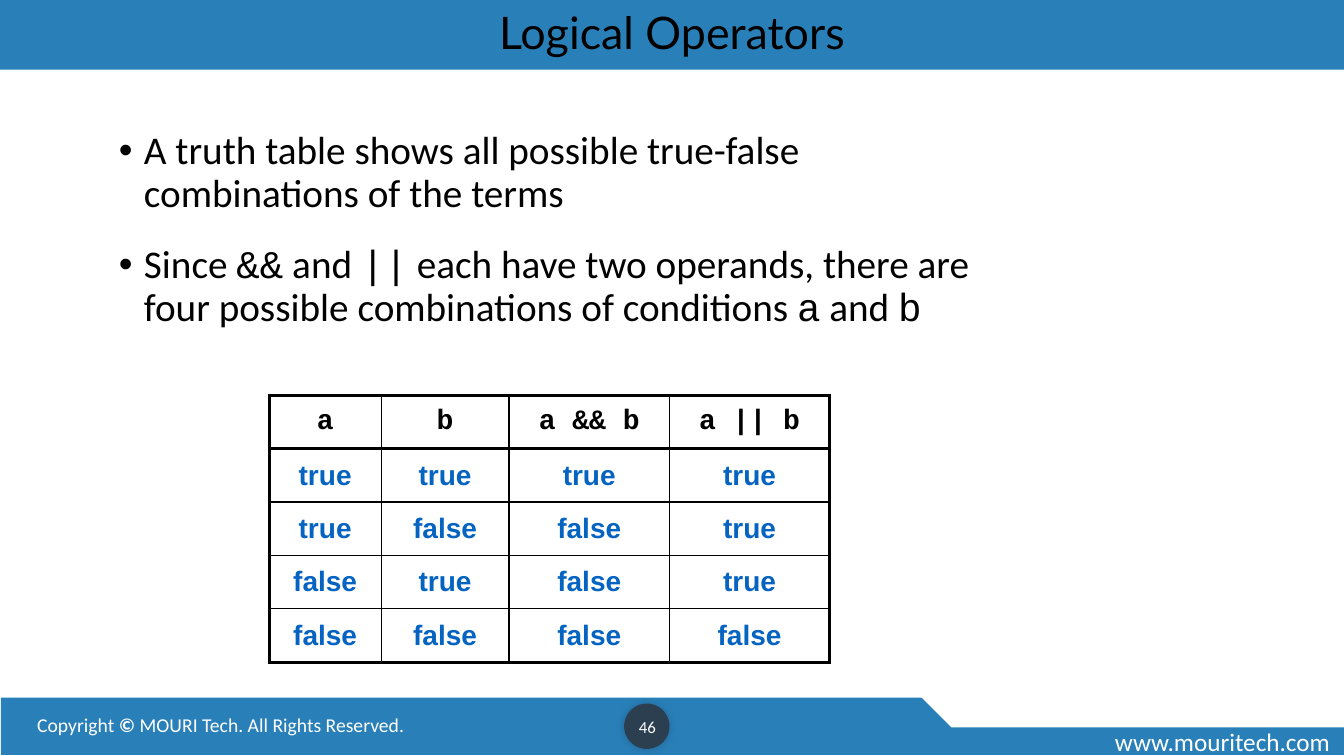
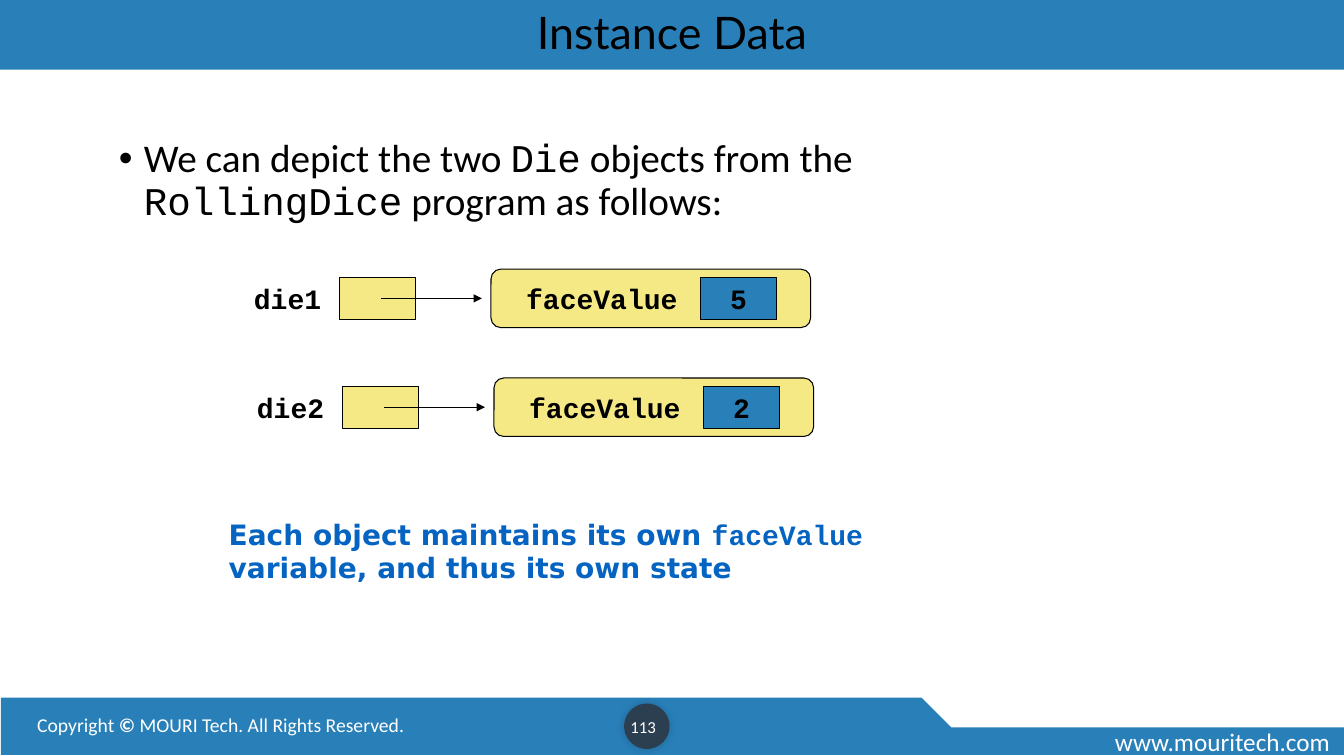
from pptx import Presentation
from pptx.dml.color import RGBColor
from pptx.enum.shapes import MSO_CONNECTOR, MSO_SHAPE
from pptx.enum.text import MSO_ANCHOR, MSO_AUTO_SIZE, PP_ALIGN
from pptx.oxml.ns import qn
from pptx.util import Inches, Pt
from lxml import etree

RECT, ROUND = MSO_SHAPE.RECTANGLE, MSO_SHAPE.ROUNDED_RECTANGLE
SNIP, OVAL = MSO_SHAPE.SNIP_2_DIAG_RECTANGLE, MSO_SHAPE.OVAL
LINE = MSO_CONNECTOR.STRAIGHT
CENTER, LEFT = PP_ALIGN.CENTER, PP_ALIGN.LEFT
MIDDLE, TOP = MSO_ANCHOR.MIDDLE, MSO_ANCHOR.TOP
FIXED = MSO_AUTO_SIZE.NONE

BLUE, WHITE, BLACK, NAVY = "2980B9", "FFFFFF", "000000", "2C3F50"
LINK, CREAM = "0563C1", "F5E985"
MONO = "Courier New"

TITLE = dict(name="Lato", size=Pt(32), color=BLACK)
BODY = dict(name="Calibri", size=Pt(28), color=BLACK)
CODE = dict(BODY, name=MONO)
SITE = dict(name="Calibri", size=Pt(18), color=WHITE)
RIGHTS = dict(SITE, size=Pt(14))
BOLD = dict(RIGHTS, bold=True)
PAGE = dict(SITE, size=Pt(12))
HEAD = dict(name=MONO, size=Pt(20), color=BLACK, bold=True)
VALUE = dict(HEAD, name="Arial", color=LINK)
NOTE = dict(VALUE, name="DejaVu Sans")
FIELD = dict(VALUE, name=MONO)

LOGIC = dict(
    title="Logical Operators",
    page=("46", 6.21, 0.42),
    box=(1.08, 1.25, 8.67, 2.5),
    points=[
        [("A truth table shows all possible true-false combinations of the terms", BODY)],
        [("Since ", BODY), ("&&", CODE), (" and ", BODY), ("||", CODE),
         (" each have two operands, there are four possible combinations of conditions ", BODY),
         ("a", CODE), (" and ", BODY), ("b", CODE)],
    ],
)
TRUTH = [
    ("a", "b", "a && b", "a || b"),
    ("true", "true", "true", "true"),
    ("true", "false", "false", "true"),
    ("false", "true", "false", "true"),
    ("false", "false", "false", "false"),
]
WIDTHS = (1.11, 1.27, 1.59, 1.59)
HEIGHT = 0.53

DATA = dict(
    title="Instance Data",
    page=("113", 6.13, 0.5),
    box=(1.08, 1.33, 8.67, 1.33),
    points=[
        [("We can depict the two ", BODY), ("Die", CODE), (" objects from the ", BODY),
         ("RollingDice", CODE), (" program as follows:", BODY)],
    ],
)
DICE = [("die1", "5", 2.42, 2.67), ("die2", "2", 2.45, 3.75)]
STATE = [("Each object maintains its own ", NOTE), ("faceValue", FIELD),
         (" variable, and thus its own state", NOTE)]


def rgb(code):
    return RGBColor.from_string(code)


def node(parent, tag, **attrs):
    return etree.SubElement(parent, qn(tag), attrs)


def write(para, runs, align=LEFT):
    para.alignment = align
    for text, form in runs:
        run = para.add_run()
        run.text = text
        for key, val in form.items():
            if key == "color":
                run.font.color.rgb = rgb(val)
            else:
                setattr(run.font, key, val)


def label(shapes, at, runs, align=LEFT, anchor=TOP, wrap=True):
    frame = shapes.add_textbox(*map(Inches, at)).text_frame
    frame.word_wrap = wrap
    frame.vertical_anchor = anchor
    write(frame.paragraphs[0], runs, align)
    return frame


def block(shapes, kind, at, fill, line=None, width=0.75, adjust=()):
    shape = shapes.add_shape(kind, *map(Inches, at))
    shape.shadow.inherit = False
    shape.fill.solid()
    shape.fill.fore_color.rgb = rgb(fill)
    if line:
        shape.line.color.rgb = rgb(line)
        shape.line.width = Pt(width)
    else:
        shape.line.fill.background()
    for num, val in enumerate(adjust):
        shape.adjustments[num] = val
    return shape


def arrow(shapes, x, y, length):
    line = shapes.add_connector(LINE, *map(Inches, (x, y, x + length, y)))
    line.line.color.rgb = rgb(BLACK)
    line.line.width = Pt(0.75)
    props = line._element.spPr
    node(props.find(qn("a:ln")), "a:tailEnd", type="triangle")
    node(props, "a:effectLst")


def footer(shapes, page):
    block(shapes, RECT, (0.01, 6.92, 13.32, 0.57), BLUE)
    block(shapes, SNIP, (8.92, 6.17, 4.41, 1.04), WHITE, WHITE, 1, (0, 0.5))
    label(shapes, (10.96, 7.16, 2.38, 0.4), [("www.mouritech.com", SITE)])
    label(shapes, (0.27, 7.02, 7.17, 0.34),
          [("Copyright ", RIGHTS), ("© ", BOLD), ("MOURI Tech. All Rights Reserved.", RIGHTS)])
    disc = block(shapes, OVAL, (6.19, 6.98, 0.45, 0.45), NAVY)
    glow = node(disc._element.spPr.find(qn("a:effectLst")), "a:outerShdw",
                blurRad=str(Pt(6)), dist="0", dir="18900000")
    node(node(glow, "a:srgbClr", val=BLACK), "a:alpha", val="20000")
    text, left, width = page
    label(shapes, (left, 7.01, width, 0.4), [(text, PAGE)], CENTER, MIDDLE)


def bullets(shapes, at, points):
    frame = label(shapes, at, [])
    for num, runs in enumerate(points):
        para = frame.add_paragraph() if num else frame.paragraphs[0]
        props = para._p.get_or_add_pPr()
        props.set("marL", str(Inches(0.25)))
        props.set("indent", str(Inches(-0.25)))
        node(props, "a:buFont", typeface="Arial")
        node(props, "a:buChar", char="•")
        para.line_spacing = 0.9
        para.space_before = Pt(21 if num else 0)
        write(para, runs)


def start(deck, info):
    slide = deck.slides.add_slide(deck.slide_layouts[5])
    title = slide.shapes.title
    place = dict(left=0, top=0, width=deck.slide_width, height=Inches(0.69))
    for key, val in place.items():
        setattr(title, key, val)
    title.fill.solid()
    title.fill.fore_color.rgb = rgb(BLUE)
    frame = title.text_frame
    frame.auto_size = FIXED
    frame.vertical_anchor = MIDDLE
    para = frame.paragraphs[0]
    para.line_spacing = 0.9
    write(para, [(info["title"], TITLE)], CENTER)
    footer(slide.shapes, info["page"])
    bullets(slide.shapes, info["box"], info["points"])
    return slide.shapes


def border(cell, thick):
    props = cell._tc.get_or_add_tcPr()
    for num, side in enumerate("LRTB"):
        width = Pt(2.25 if side in thick else 1)
        line = node(props, "a:ln" + side, w=str(width))
        node(node(line, "a:solidFill"), "a:srgbClr", val=BLACK)
        props.insert(num, line)


def truth(shapes):
    last = len(TRUTH) - 1
    size = (2.67, 3.92, sum(WIDTHS), HEIGHT * len(TRUTH))
    table = shapes.add_table(len(TRUTH), len(WIDTHS), *map(Inches, size)).table
    table.first_row = table.horz_banding = False
    for col, width in zip(table.columns, WIDTHS):
        col.width = Inches(width)
    for r, texts in enumerate(TRUTH):
        table.rows[r].height = Inches(HEIGHT)
        for c, text in enumerate(texts):
            cell = table.cell(r, c)
            cell.fill.background()
            cell.vertical_anchor = MIDDLE
            write(cell.text_frame.paragraphs[0], [(text, VALUE if r else HEAD)], CENTER)
            thick = "R" if c % 2 else "L"
            thick += "T" if r < 2 else ""
            thick += "B" if r in (0, last) else ""
            border(cell, thick)


def die(shapes, name, value, x, y):
    group = shapes.add_group_shape().shapes
    block(group, RECT, (x + 0.95, y + 0.08, 0.75, 0.42), CREAM, BLACK)
    label(group, (x, y + 0.07, 0.87, 0.43), [(name, HEAD)], wrap=False)
    block(group, ROUND, (x + 2.45, y, 3.17, 0.58), CREAM, BLACK, adjust=(0.167,))
    arrow(group, x + 1.36, y + 0.29, 1)
    face = block(group, RECT, (x + 4.53, y + 0.08, 0.75, 0.42), BLUE, BLACK).text_frame
    face.word_wrap = False
    face.vertical_anchor = MIDDLE
    write(face.paragraphs[0], [(value, HEAD)], CENTER)
    label(group, (x + 2.7, y + 0.07, 1.7, 0.43), [("faceValue", HEAD)], wrap=False)


def main():
    deck = Presentation()
    deck.slide_width, deck.slide_height = Inches(13.33), Inches(7.5)
    truth(start(deck, LOGIC))
    shapes = start(deck, DATA)
    for item in DICE:
        die(shapes, *item)
    label(shapes, (2.17, 5.08, 7.17, 0.78), STATE)
    deck.save("out.pptx")


if __name__ == "__main__":
    main()
